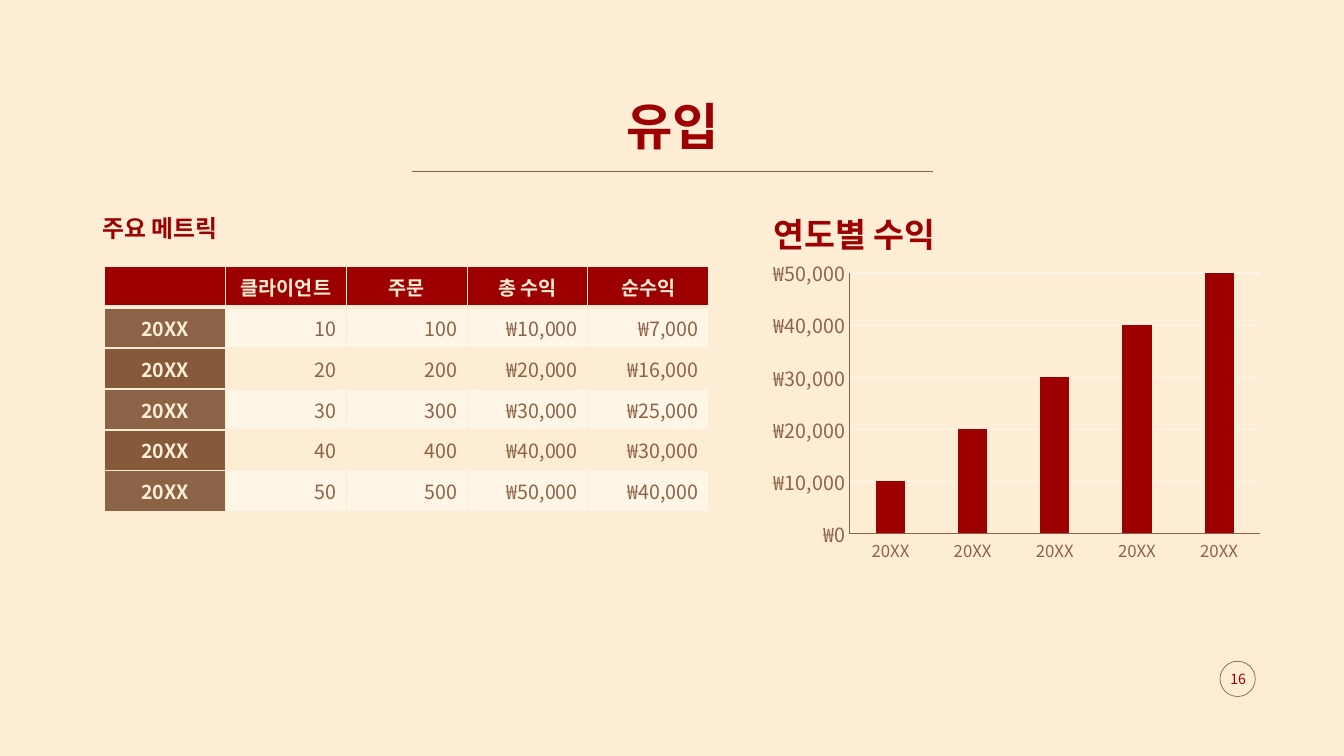
from lxml import etree
from pptx import Presentation
from pptx import util as u
from pptx.chart.data import CategoryChartData
from pptx.dml.color import RGBColor
from pptx.enum import chart as ch, shapes, text
from pptx.oxml import parse_xml
from pptx.oxml.ns import nsdecls, qn

CREAM = RGBColor(0xFC, 0xED, 0xD4)
PALE = RGBColor(0xFF, 0xF6, 0xE7)
RED = RGBColor(0x9D, 0x00, 0x00)
BROWN = RGBColor(0x8D, 0x63, 0x47)
DARK_BROWN = RGBColor(0x85, 0x59, 0x39)
BRIGHT_RED = RGBColor(0xFF, 0x00, 0x00)
BLUE = RGBColor(0x00, 0xAE, 0xEF)
SANS = "Noto Sans CJK KR"
SERIF = "Times New Roman"
ALIGN = text.PP_ALIGN
ANCHOR = text.MSO_ANCHOR

HEADER = ["", "클라이언트", "주문", "총 수익", "순수익"]
METRICS = [
    ["20XX", "10", "100", "₩10,000", "₩7,000"],
    ["20XX", "20", "200", "₩20,000", "₩16,000"],
    ["20XX", "30", "300", "₩30,000", "₩25,000"],
    ["20XX", "40", "400", "₩40,000", "₩30,000"],
    ["20XX", "50", "500", "₩50,000", "₩40,000"],
]
NO_VALUES = [None] * len(METRICS)
SERIES = [
    ("Series 1", [10000, 20000, 30000, 40000, 50000], RED),
    ("Series 2", NO_VALUES, BRIGHT_RED),
    ("Series 3", NO_VALUES, BLUE),
]


def write(frame, words, size, color, bold=False, align=ALIGN.LEFT,
          anchor=ANCHOR.TOP, font=SANS):
    """Put one run in the first paragraph of a text frame and return the paragraph."""
    frame.word_wrap = True
    frame.vertical_anchor = anchor
    para = frame.paragraphs[0]
    para.alignment = align
    span = para.add_run()
    span.text = words
    span.font.size = u.Pt(size)
    span.font.bold = bold
    span.font.color.rgb = color
    span.font.name = font
    east_asian = etree.SubElement(span.font._element, qn("a:ea"))
    east_asian.set("typeface", SANS)
    return para


def add_title(page, left, top, width, height):
    title = page.shapes.title
    title.left, title.top = u.Inches(left), u.Inches(top)
    title.width, title.height = u.Inches(width), u.Inches(height)
    title.text_frame.auto_size = text.MSO_AUTO_SIZE.NONE
    para = write(title.text_frame, "유입", 36, RED, True, ALIGN.CENTER, ANCHOR.BOTTOM)
    para.line_spacing = 0.9

    middle, rule_y = left + width / 2, top + height + 0.1
    rule = page.shapes.add_connector(
        shapes.MSO_CONNECTOR.STRAIGHT, u.Inches(middle - 2.58), u.Inches(rule_y),
        u.Inches(middle + 2.58), u.Inches(rule_y))
    rule.line.color.rgb = BROWN
    rule.line.width = u.Pt(1)
    etree.SubElement(rule._element.spPr, qn("a:effectLst"))


def add_heading(page, words, size, left, top, width, height):
    box = page.shapes.add_textbox(
        u.Inches(left), u.Inches(top), u.Inches(width), u.Inches(height))
    para = write(box.text_frame, words, size, RED, True, font=SERIF)
    para.space_before = u.Pt(6)


def set_borders(cell, bottom_width):
    """Draw cream cell borders; call before the fill, which must follow them."""
    widths = {"lnL": 1, "lnR": 1, "lnT": 1, "lnB": bottom_width}
    for side, width in widths.items():
        cell._tc.get_or_add_tcPr().append(parse_xml(
            f'<a:{side} {nsdecls("a")} w="{u.Pt(width)}"><a:solidFill>'
            f'<a:srgbClr val="{CREAM}"/></a:solidFill></a:{side}>'))


def cell_fill(row, col):
    if row == 0:
        return RED
    odd = row % 2 == 1
    if col == 0:
        return BROWN if odd else DARK_BROWN
    return PALE if odd else None


def add_metrics_table(page, left, top, width, height):
    rows = [HEADER] + METRICS
    table = page.shapes.add_table(
        len(rows), len(HEADER), u.Inches(left), u.Inches(top),
        u.Inches(width), u.Inches(height)).table
    table.horz_banding = False
    for r, row in enumerate(rows):
        for c, words in enumerate(row):
            cell = table.cell(r, c)
            set_borders(cell, 3 if r == 0 else 1)
            color = cell_fill(r, c)
            if color is None:
                cell.fill.background()
            else:
                cell.fill.solid()
                cell.fill.fore_color.rgb = color
            cell.vertical_anchor = ANCHOR.MIDDLE
            if words:
                label = r == 0 or c == 0
                write(cell.text_frame, words, 14, CREAM if label else BROWN, label,
                      ALIGN.CENTER if label else ALIGN.RIGHT, ANCHOR.MIDDLE)


def style_axis(axis, size):
    axis.major_tick_mark = axis.minor_tick_mark = ch.XL_TICK_MARK.NONE
    axis.format.line.color.rgb = BROWN
    axis.format.line.width = u.Pt(0.75)
    font = axis.tick_labels.font
    font.name, font.size, font.bold = SANS, u.Pt(size), False
    font.color.rgb = BROWN


def add_revenue_chart(page, left, top, width, height):
    data = CategoryChartData()
    data.categories = [row[0] for row in METRICS]
    for name, amounts, _ in SERIES:
        data.add_series(name, amounts)
    chart = page.shapes.add_chart(
        ch.XL_CHART_TYPE.COLUMN_CLUSTERED, u.Inches(left), u.Inches(top),
        u.Inches(width), u.Inches(height), data).chart
    chart.has_legend = chart.has_title = False
    chart.font.name, chart.font.size = SANS, u.Pt(10)
    chart.font.color.rgb = RED

    plot = chart.plots[0]
    plot.gap_width, plot.overlap = 182, 100
    plot.vary_by_categories = False
    for bars, (_, _, color) in zip(plot.series, SERIES):
        bars.format.fill.solid()
        bars.format.fill.fore_color.rgb = color

    style_axis(chart.category_axis, 12)
    values = chart.value_axis
    style_axis(values, 14)
    values.minimum_scale, values.maximum_scale, values.major_unit = 0, 50000, 10000
    values.tick_labels.number_format = '"₩"#,##0'
    values.tick_labels.number_format_is_linked = False
    values.major_gridlines.format.line.color.rgb = PALE
    values.major_gridlines.format.line.width = u.Pt(0.75)

    area = chart._chartSpace.chart.plotArea
    for old in area.findall(qn("c:layout")):
        area.remove(old)
    area.insert(0, parse_xml(
        f'<c:layout {nsdecls("c")}><c:manualLayout><c:layoutTarget val="inner"/>'
        '<c:xMode val="edge"/><c:yMode val="edge"/><c:x val="0.17"/><c:y val="0.06"/>'
        '<c:w val="0.81"/><c:h val="0.82"/></c:manualLayout></c:layout>'))


def add_page_number(page, left, top, size):
    inset = 0.02
    ring = page.shapes.add_shape(
        shapes.MSO_SHAPE.OVAL, u.Inches(left + inset), u.Inches(top + inset),
        u.Inches(size - 0.05), u.Inches(size - 0.05))
    ring.shadow.inherit = False
    ring.fill.background()
    ring.line.color.rgb = BROWN
    ring.line.width = u.Pt(0.5)
    box = page.shapes.add_textbox(
        u.Inches(left), u.Inches(top), u.Inches(size), u.Inches(size))
    frame = box.text_frame
    frame.margin_left = frame.margin_right = 0
    write(frame, "16", 10, RED, align=ALIGN.CENTER, anchor=ANCHOR.MIDDLE)


def main():
    deck = Presentation()
    deck.slide_width, deck.slide_height = u.Inches(13.33), u.Inches(7.5)
    page = deck.slides.add_slide(deck.slide_layouts[5])
    page.background.fill.solid()
    page.background.fill.fore_color.rgb = CREAM
    add_title(page, 0.92, 0.83, 11.5, 0.77)
    add_heading(page, "주요 메트릭", 17, 0.92, 2.07, 5.71, 0.38)
    add_metrics_table(page, 1.04, 2.64, 5.99, 2.44)
    add_heading(page, "연도별 수익", 24, 7.57, 2.07, 4.91, 0.44)
    add_revenue_chart(page, 7.57, 2.52, 5.03, 3.15)
    add_page_number(page, 12.08, 6.54, 0.4)
    deck.save("out.pptx")


if __name__ == "__main__":
    main()
